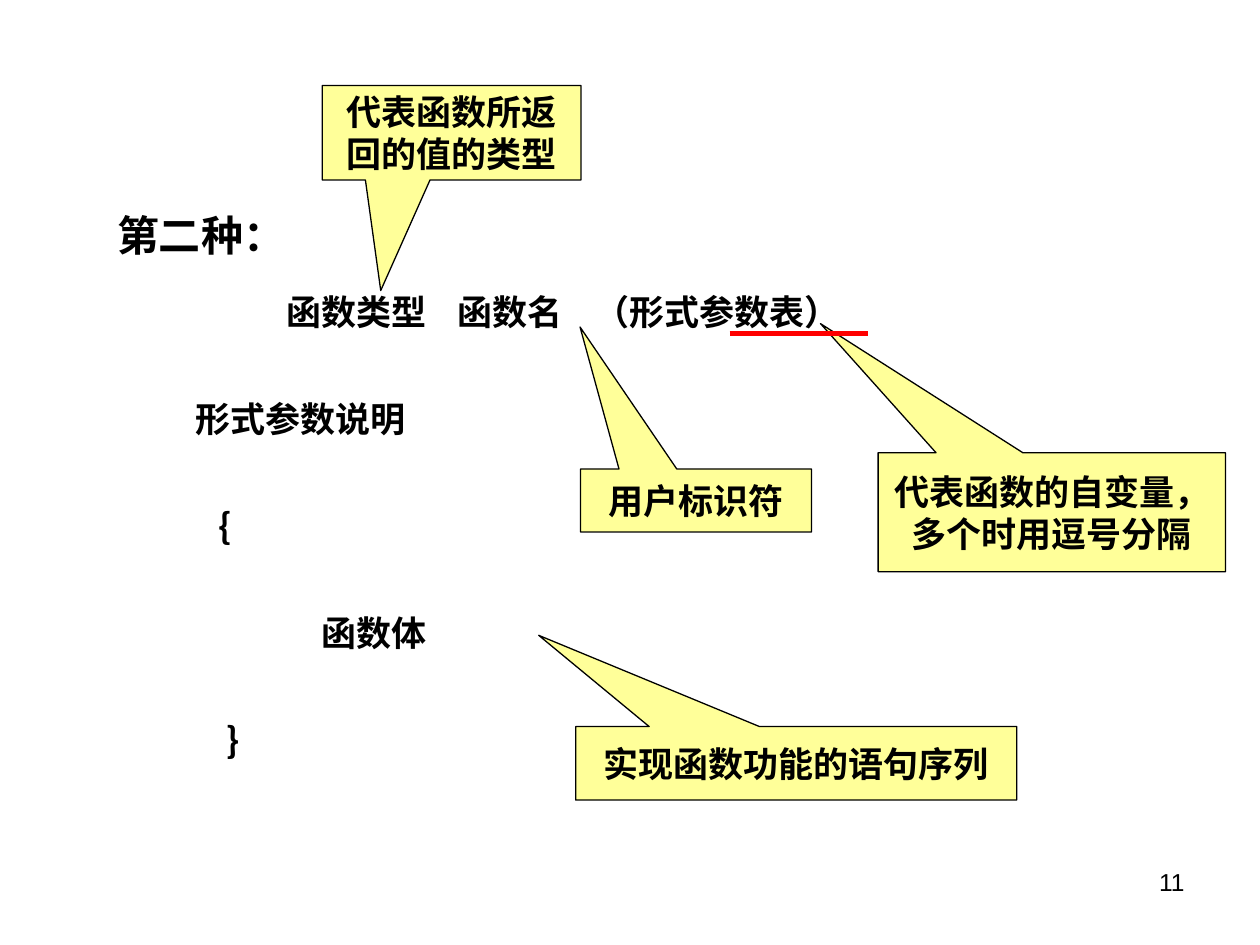
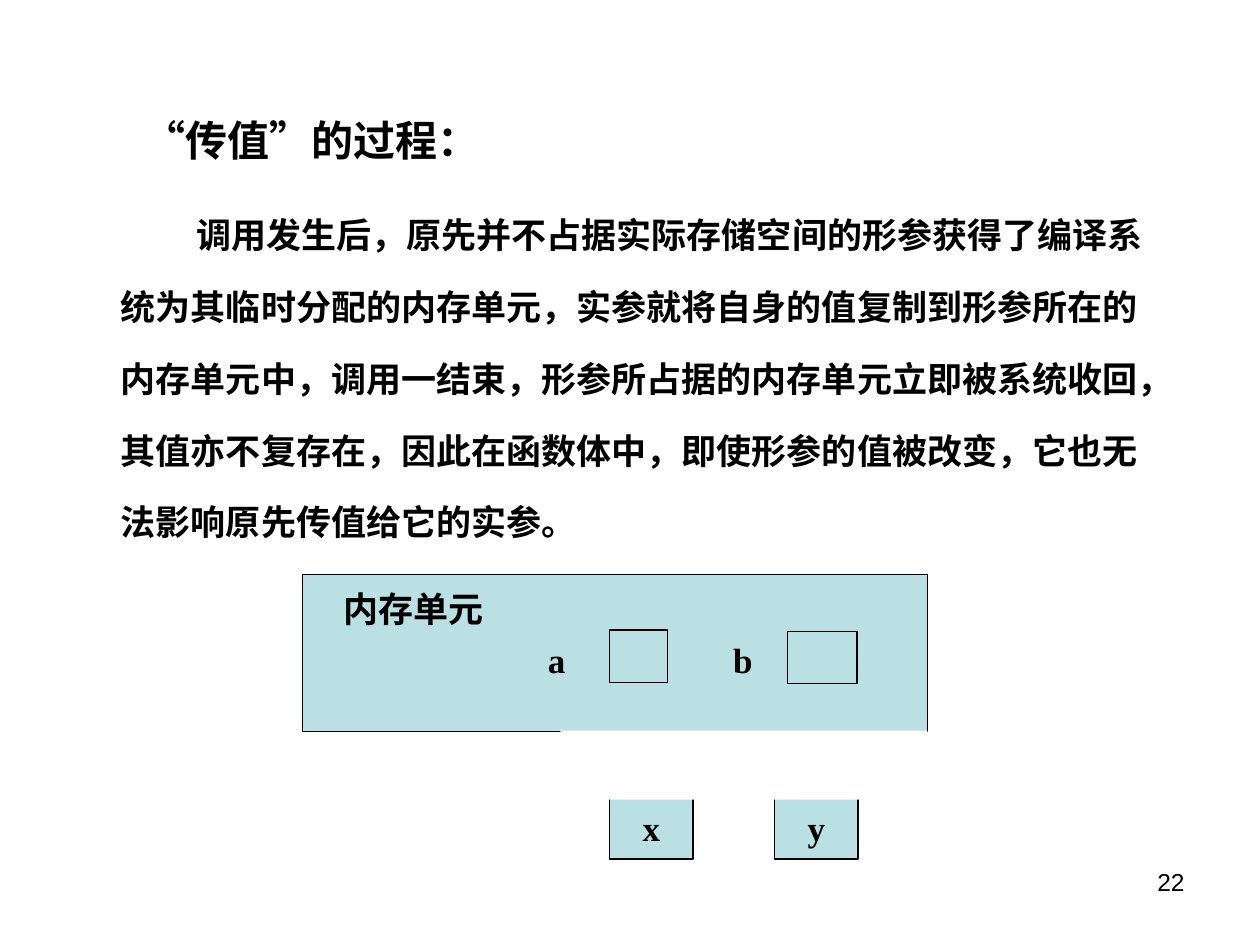
from pptx import Presentation
from pptx import util as u
from pptx.dml.color import RGBColor
from pptx.enum import shapes, text
from pptx.oxml import ns
from lxml import etree

HUES = {"ink": "000000", "note": "FFFF99", "cell": "BBE0E3",
        "mark": "FF0000", "page": "FFFFFF"}
SANS = "Noto Sans CJK SC"
SERIF = "Times New Roman"
MID = text.PP_ALIGN.CENTER
FORM = shapes.MSO_SHAPE


def hue(name):
    return RGBColor.from_string(HUES[name])


def pts(*nums):
    return [u.Pt(n) for n in nums]


def add_run(para, words, size=20, face=SERIF, bold=True):
    run = para.add_run()
    run.text = words
    run.font.size = u.Pt(size)
    run.font.name = face
    run.font.bold = bold
    run.font.color.rgb = hue("ink")
    east = etree.SubElement(run._r.get_or_add_rPr(), ns.qn("a:ea"))
    east.set("typeface", SANS)


def set_tabs(para, stops):
    tabs = etree.SubElement(para._p.get_or_add_pPr(), ns.qn("a:tabLst"))
    for stop in stops:
        tab = etree.SubElement(tabs, ns.qn("a:tab"))
        tab.set("pos", str(u.Pt(stop)))
        tab.set("algn", "l")


def add_para(frame, words, first=False, stops=(), pitch=None, gap=0,
             align=None, **style):
    para = frame.paragraphs[0] if first else frame.add_paragraph()
    if stops:
        set_tabs(para, stops)
    if pitch:
        para.line_spacing = u.Pt(pitch)
    if gap:
        para.space_before = u.Pt(gap)
    if align is not None:
        para.alignment = align
    add_run(para, words, **style)


def add_box(slide, area, wrap=True, anchor=text.MSO_ANCHOR.TOP):
    frame = slide.shapes.add_textbox(*pts(*area)).text_frame
    frame.word_wrap = wrap
    frame.vertical_anchor = anchor
    return frame


def add_block(slide, area, fill, form=FORM.RECTANGLE, edge=True):
    block = slide.shapes.add_shape(form, *pts(*area))
    block.shadow.inherit = False
    block.fill.solid()
    block.fill.fore_color.rgb = hue(fill)
    if edge:
        block.line.color.rgb = hue("ink")
        block.line.width = u.Pt(0.75)
    else:
        block.line.fill.background()
    block.text_frame.word_wrap = True
    block.text_frame.vertical_anchor = text.MSO_ANCHOR.MIDDLE
    return block


def add_note(slide, area, tip, lines):
    note = add_block(slide, area, "note", FORM.RECTANGULAR_CALLOUT)
    note.adjustments[0], note.adjustments[1] = tip
    for i, line in enumerate(lines):
        add_para(note.text_frame, line, i == 0, pitch=24, align=MID)


def add_rule(slide, left, right, top):
    kind = shapes.MSO_CONNECTOR.STRAIGHT
    rule = slide.shapes.add_connector(kind, *pts(left, top, right, top))
    rule.line.color.rgb = hue("mark")
    rule.line.width = u.Pt(3)
    etree.SubElement(rule._element.spPr, ns.qn("a:effectLst"))


def add_page(slide, num):
    frame = add_box(slide, (516, 492, 168, 37))
    add_para(frame, str(num), True, align=text.PP_ALIGN.RIGHT,
             size=14, face="Arial", bold=False)


def draw_syntax(slide):
    frame = add_box(slide, (59.8, 100, 606, 335.5))
    add_para(frame, "第二种：", True, pitch=45, size=24, face=SANS)
    add_para(frame, "\t函数类型\t函数名\t（形式参数表）", pitch=41.5,
             stops=(96.8, 194.7, 272.6), face=SANS)
    for stop, words in ((44.8, "形式参数说明"), (58.2, "{"),
                        (116.8, "函数体"), (62.7, "}")):
        add_para(frame, "\t" + words, stops=(stop,), pitch=48.6, gap=12.5,
                 face=SANS)
    for area, tip, lines in (
            ((329, 415.2, 252, 42), (-0.584, -1.741),
             ["实现函数功能的语句序列"]),
            ((184.2, 48.8, 147.8, 54), (-0.274, 1.671),
             ["代表函数所返", "回的值的类型"]),
            ((331.7, 268, 132, 36), (-0.502, -2.753), ["用户标识符"]),
            ((501.8, 258.7, 198.5, 68), (-0.666, -1.585),
             ["代表函数的自变量，", "多个时用逗号分隔"])):
        add_note(slide, area, tip, lines)
    add_rule(slide, 416.9, 496, 190.7)


def draw_values(slide):
    frame = add_box(slide, (62, 31.7, 600.5, 280))
    add_para(frame, "\t“传值”的过程：", True, stops=(13,), pitch=59, size=24)
    add_para(frame, "\t调用发生后，原先并不占据实际存储空间的形参获得了编译系统"
             "为其临时分配的内存单元，实参就将自身的值复制到形参所在的内存单元中，"
             "调用一结束，形参所占据的内存单元立即被系统收回，其值亦不复存在，"
             "因此在函数体中，即使形参的值被改变，它也无法影响原先传值给它的实参。",
             stops=(43,), pitch=41, gap=11)
    for left, name in ((348.5, "x"), (442.8, "y")):
        block = add_block(slide, (left, 455, 47.5, 36), "cell")
        add_para(block.text_frame, name, True, align=MID)
    add_block(slide, (172.8, 328.2, 357.2, 90), "cell")
    add_block(slide, (348.5, 360, 33, 30), "cell")
    add_block(slide, (450, 360.7, 39.8, 30), "cell")
    for left, name in ((291.6, "a"), (398, "b")):
        label = add_box(slide, (left, 358.6, 53, 36),
                        anchor=text.MSO_ANCHOR.MIDDLE)
        add_para(label, name, True, align=MID)
    title = add_box(slide, (189.2, 332, 94.5, 31.5), wrap=False)
    add_para(title, "内存单元", True, pitch=24)
    add_block(slide, (320.2, 417.5, 209.8, 39.5), "page", edge=False)


def main():
    deck = Presentation()
    deck.slide_width, deck.slide_height = pts(720, 540)
    for draw, num in ((draw_syntax, 11), (draw_values, 22)):
        slide = deck.slides.add_slide(deck.slide_layouts[6])
        draw(slide)
        add_page(slide, num)
    deck.save("out.pptx")


if __name__ == "__main__":
    main()
